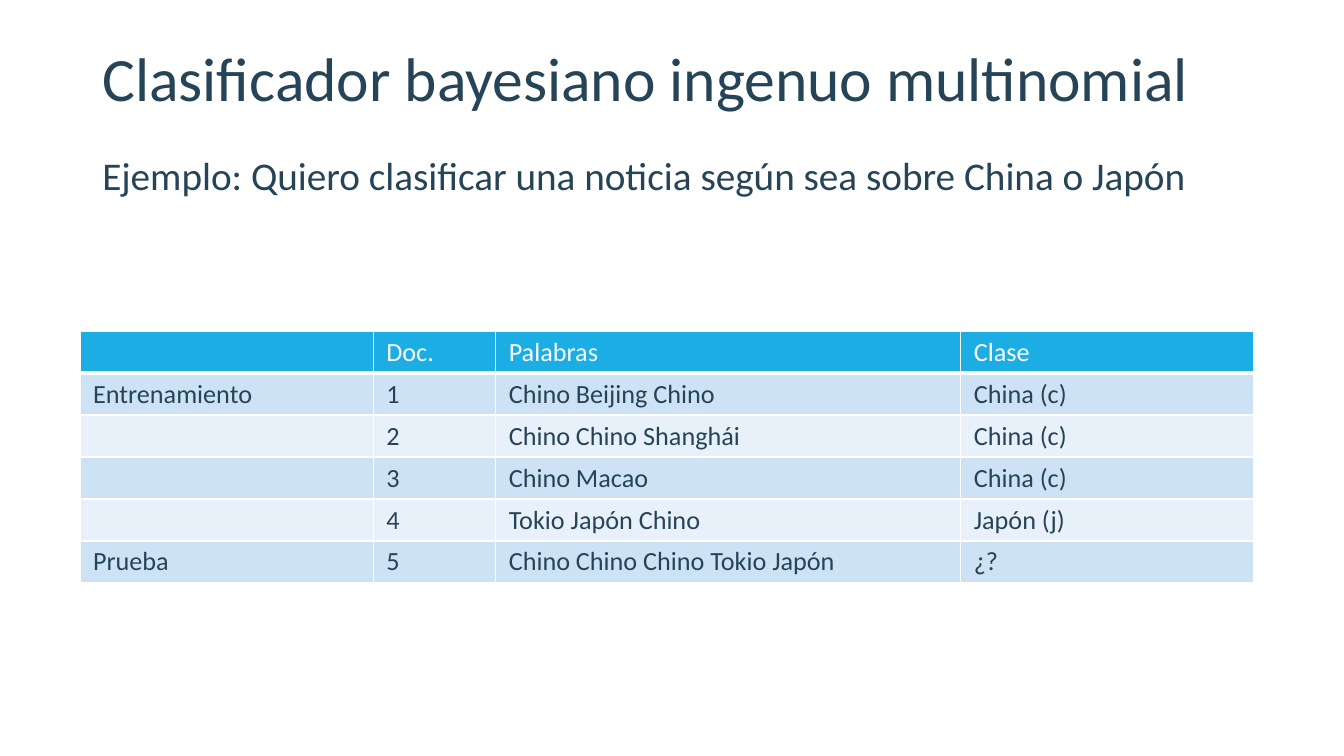
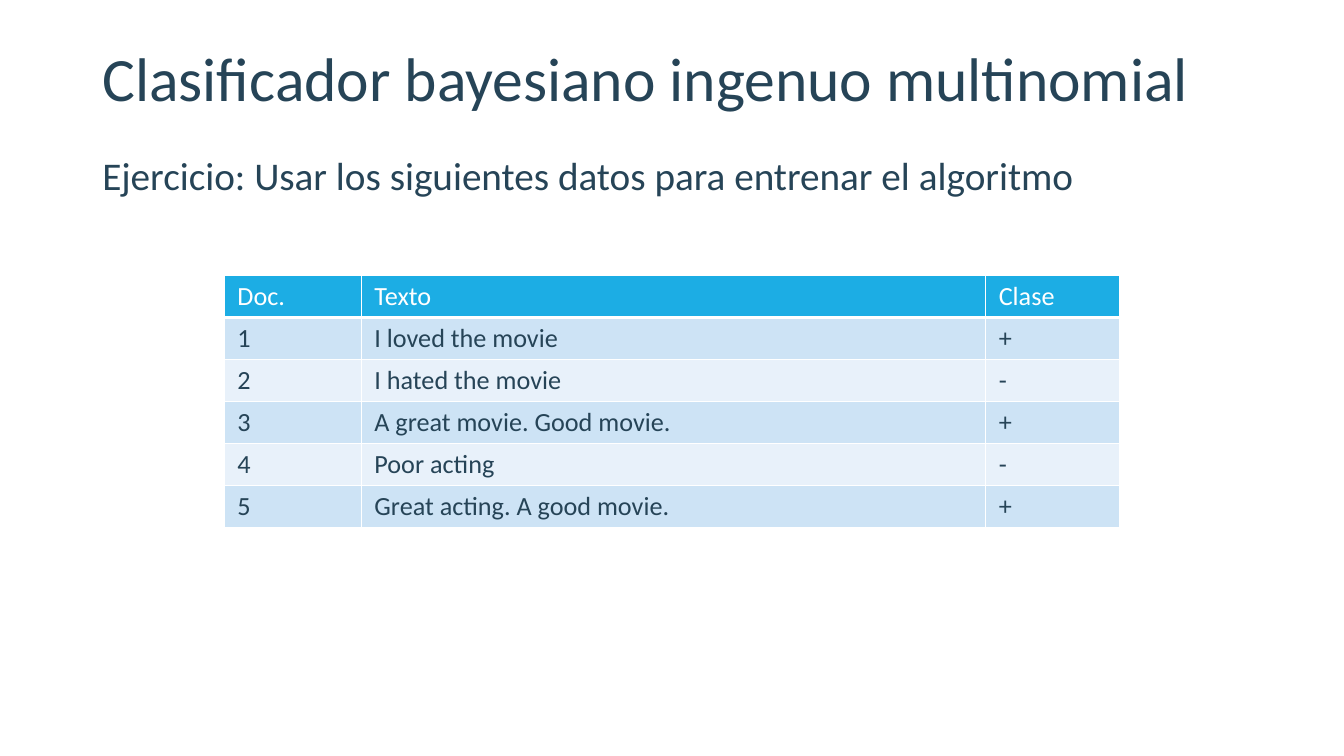
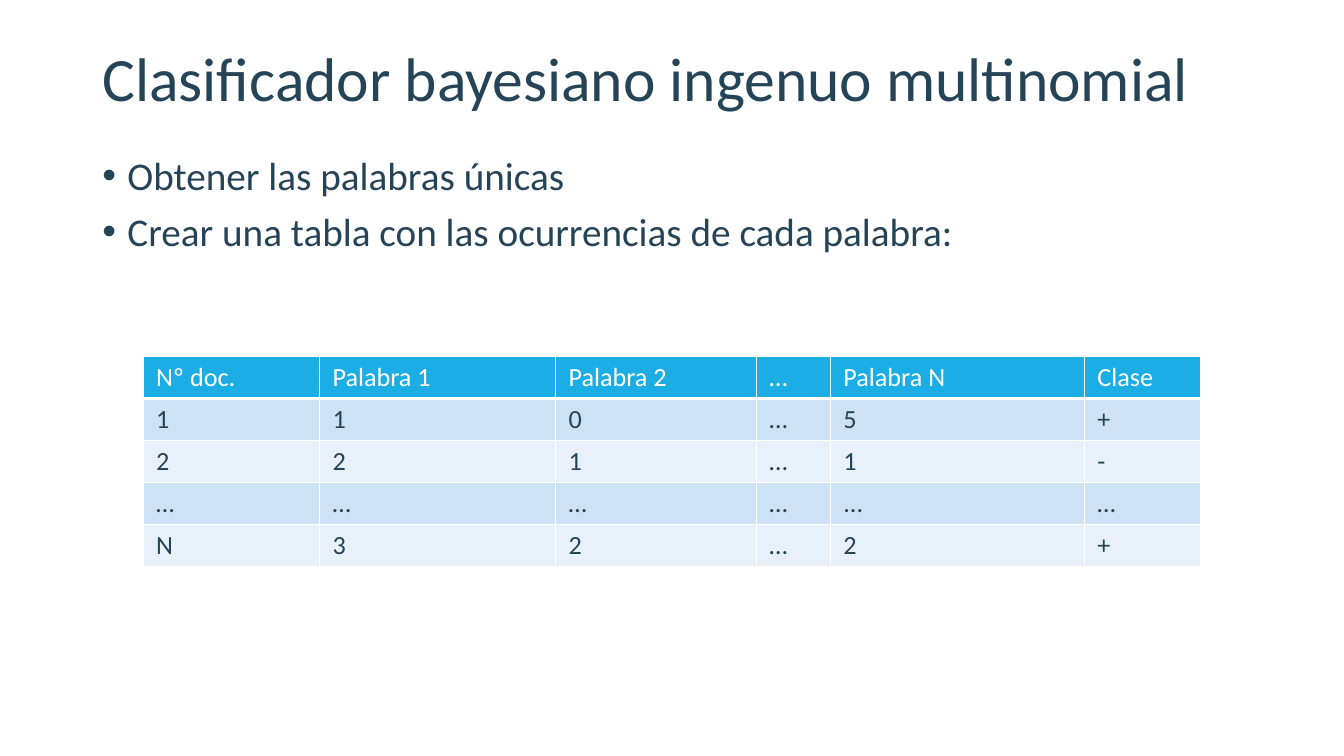
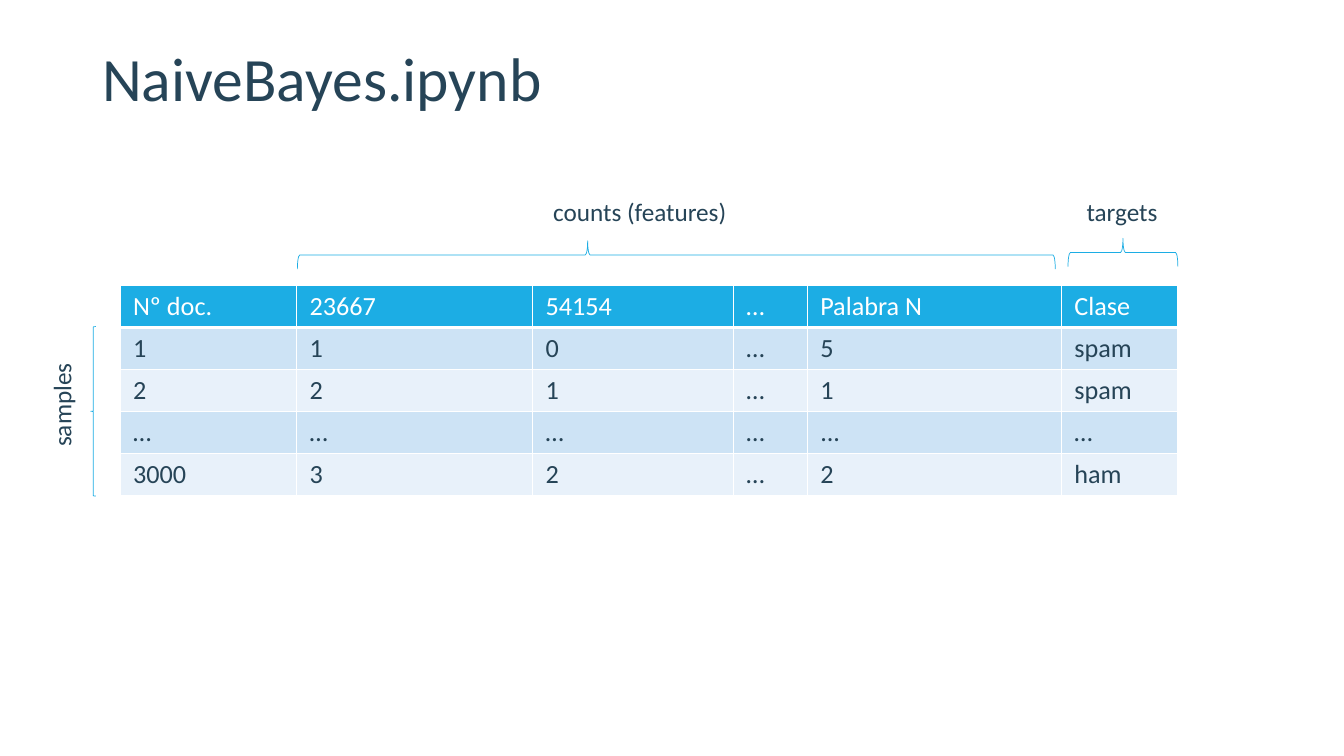
"""Build four slides on the multinomial naive Bayes classifier."""
import pptx
import pptx.dml.color
import pptx.enum.shapes
import pptx.enum.text
import pptx.oxml.ns
import pptx.util
from lxml import etree

Pt = pptx.util.Pt
RGBColor = pptx.dml.color.RGBColor
MSO_ANCHOR = pptx.enum.text.MSO_ANCHOR
MSO_AUTO_SIZE = pptx.enum.text.MSO_AUTO_SIZE
LEFT_BRACE = pptx.enum.shapes.MSO_SHAPE.LEFT_BRACE
qn = pptx.oxml.ns.qn

INK = RGBColor(0x26, 0x44, 0x57)
ACCENT = RGBColor(0x1C, 0xAD, 0xE4)
BAND_DARK = RGBColor(0xCD, 0xE3, 0xF5)
BAND_LIGHT = RGBColor(0xE8, 0xF1, 0xFA)
WHITE = RGBColor(0xFF, 0xFF, 0xFF)

FONT = "Calibri"
ROW_HEIGHT = 30
TITLE = "Clasificador bayesiano ingenuo multinomial"
COUNT_COLS = [126, 168.6, 143.5, 52.8, 181.5, 82.8]


def write(tf, text, size=18, color=INK, spacing=None, bullet=False):
    """Fill a text frame, one paragraph for each line of text."""
    for i, line in enumerate(text.split("\n")):
        p = tf.paragraphs[0] if i == 0 else tf.add_paragraph()
        if bullet:
            pPr = p._p.get_or_add_pPr()
            pPr.set("marL", str(Pt(18)))
            pPr.set("indent", str(Pt(-18)))
            etree.SubElement(pPr, qn("a:buFont"), typeface="Arial")
            etree.SubElement(pPr, qn("a:buChar"), char="•")
        if spacing:
            p.line_spacing = spacing
        if i:
            p.space_before = Pt(10)
        r = p.add_run()
        r.text = line
        r.font.name = FONT
        r.font.size = Pt(size)
        r.font.bold = False
        r.font.color.rgb = color


def set_borders(cell, bottom):
    """Give a cell white borders, with its own bottom width."""
    tcPr = cell._tc.get_or_add_tcPr()
    widths = {"lnL": 1, "lnR": 1, "lnT": 1, "lnB": bottom}
    for i, (tag, width) in enumerate(widths.items()):
        ln = etree.Element(qn("a:" + tag), w=str(Pt(width)))
        fill = etree.SubElement(ln, qn("a:solidFill"))
        etree.SubElement(fill, qn("a:srgbClr"), val=str(WHITE))
        tcPr.insert(i, ln)


slides = [
    {
        "title": TITLE,
        "body": "Ejemplo: Quiero clasificar una noticia según sea sobre China o Japón",
        "at": (57.1, 236.4),
        "cols": [209.5, 87.5, 332.2, 209.5],
        "rows": [
            ["", "Doc.", "Palabras", "Clase"],
            ["Entrenamiento", "1", "Chino Beijing Chino", "China (c)"],
            ["", "2", "Chino Chino Shanghái", "China (c)"],
            ["", "3", "Chino Macao", "China (c)"],
            ["", "4", "Tokio Japón Chino", "Japón (j)"],
            ["Prueba", "5", "Chino Chino Chino Tokio Japón", "¿?"],
        ],
    },
    {
        "title": TITLE,
        "body": "Ejercicio: Usar los siguientes datos para entrenar el algoritmo",
        "at": (160.2, 196.8),
        "cols": [97.9, 446, 95.8],
        "rows": [
            ["Doc.", "Texto", "Clase"],
            ["1", "I loved the movie", "+"],
            ["2", "I hated the movie", "-"],
            ["3", "A great movie. Good movie.", "+"],
            ["4", "Poor acting", "-"],
            ["5", "Great acting. A good movie.", "+"],
        ],
    },
    {
        "title": TITLE,
        "body": "Obtener las palabras únicas\nCrear una tabla con las ocurrencias de cada palabra:",
        "bullet": True,
        "at": (102.2, 254.6),
        "cols": COUNT_COLS,
        "rows": [
            ["Nº doc.", "Palabra 1", "Palabra 2", "…", "Palabra N", "Clase"],
            ["1", "1", "0", "…", "5", "+"],
            ["2", "2", "1", "…", "1", "-"],
            ["…", "…", "…", "…", "...", "…"],
            ["N", "3", "2", "…", "2", "+"],
        ],
    },
    {
        "title": "NaiveBayes.ipynb",
        "at": (85.7, 203.9),
        "cols": COUNT_COLS,
        "rows": [
            ["Nº doc.", "23667", "54154", "…", "Palabra N", "Clase"],
            ["1", "1", "0", "…", "5", "spam"],
            ["2", "2", "1", "…", "1", "spam"],
            ["…", "…", "…", "…", "...", "…"],
            ["3000", "3", "2", "…", "2", "ham"],
        ],
    },
]

prs = pptx.Presentation()
prs.slide_width = Pt(960)
prs.slide_height = Pt(540)

for content in slides:
    s = prs.slides.add_slide(prs.slide_layouts[6])

    sp = s.shapes.add_textbox(Pt(66), Pt(28.8), Pt(828), Pt(58.3))
    sp.text_frame.word_wrap = True
    sp.text_frame.vertical_anchor = MSO_ANCHOR.MIDDLE
    write(sp.text_frame, content["title"], size=44, spacing=0.9)

    if "body" in content:
        sp = s.shapes.add_textbox(Pt(66), Pt(108), Pt(828), Pt(378.7))
        sp.text_frame.word_wrap = True
        write(sp.text_frame, content["body"], size=28, spacing=0.9,
              bullet=content.get("bullet", False))

    rows, cols = content["rows"], content["cols"]
    left, top = content["at"]
    table = s.shapes.add_table(len(rows), len(cols), Pt(left), Pt(top),
                               Pt(sum(cols)), Pt(ROW_HEIGHT * len(rows))).table
    for column, width in zip(table.columns, cols):
        column.width = Pt(width)
    for i, row in enumerate(rows):
        table.rows[i].height = Pt(ROW_HEIGHT)
        header = i == 0
        for j, text in enumerate(row):
            cell = table.cell(i, j)
            cell.margin_left = cell.margin_right = Pt(9.4)
            cell.margin_top = cell.margin_bottom = Pt(3.6)
            cell.fill.solid()
            cell.fill.fore_color.rgb = ACCENT if header else BAND_DARK if i % 2 else BAND_LIGHT
            set_borders(cell, bottom=3 if header else 1)
            if text:
                write(cell.text_frame, text, size=18.7, color=WHITE if header else INK)

braces = [
    (473, -88.6, 20.2, 541.4, 90, 0.617),
    (792, 141.1, 20.2, 78.5, 90, 0.5),
    (64.8, 233.3, 3.6, 121, 0, 0.5),
]
for left, top, width, height, rotation, tip in braces:
    sp = s.shapes.add_shape(LEFT_BRACE, Pt(left), Pt(top), Pt(width), Pt(height))
    sp.rotation = rotation
    sp.adjustments[0] = 0.083
    sp.adjustments[1] = tip
    sp.shadow.inherit = False
    sp.fill.background()
    sp.line.color.rgb = ACCENT
    sp.line.width = Pt(0.5)

labels = [
    ("counts (features)", 388.1, 136.8, 139.7, 0),
    ("targets", 769, 136.8, 65.5, 0),
    ("samples", 6.5, 274.3, 74.9, 270),
]
for text, left, top, width, rotation in labels:
    sp = s.shapes.add_textbox(Pt(left), Pt(top), Pt(width), Pt(29))
    sp.rotation = rotation
    sp.text_frame.word_wrap = False
    sp.text_frame.auto_size = MSO_AUTO_SIZE.SHAPE_TO_FIT_TEXT
    write(sp.text_frame, text)

prs.save("out.pptx")
